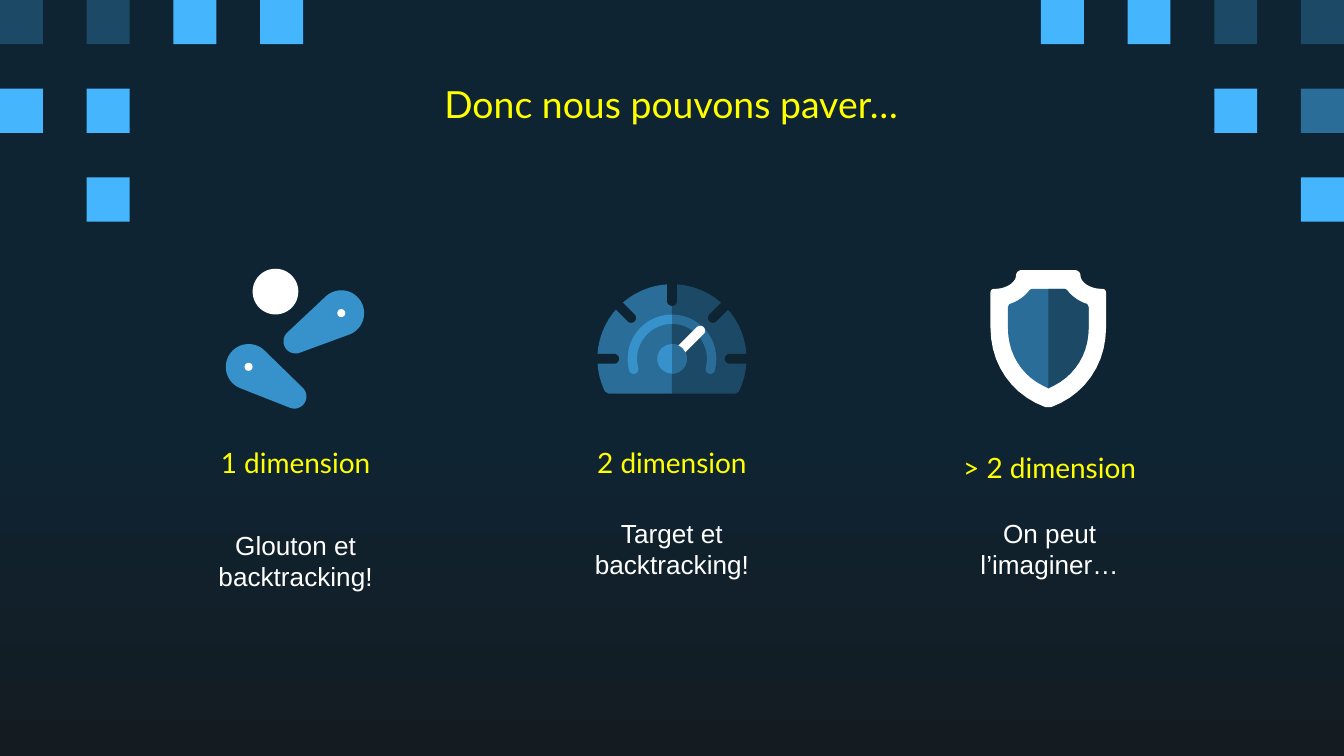
import math

from pptx import Presentation
from pptx.dml.color import RGBColor
from pptx.enum.shapes import MSO_SHAPE
from pptx.enum.text import MSO_ANCHOR, MSO_AUTO_SIZE, PP_ALIGN
from pptx.util import Inches, Pt

RECTANGLE = MSO_SHAPE.RECTANGLE
OVAL = MSO_SHAPE.OVAL
MIDDLE = MSO_ANCHOR.MIDDLE
CENTER = PP_ALIGN.CENTER
NO_AUTOFIT = MSO_AUTO_SIZE.NONE

NIGHT, BLACK_BLUE = "0E2433", "141C21"
NAVY, STEEL, AZURE, SKY = "1C4966", "296D98", "3792CB", "45B6FE"
WHITE, YELLOW = "FFFFFF", "FFFF00"

SLIDE_WIDTH = 10
SLIDE_HEIGHT = SLIDE_WIDTH * 9 / 16
SQUARE_WIDTH, SQUARE_HEIGHT = 0.32, 0.33
COLUMN_PITCH = (SLIDE_WIDTH - SQUARE_WIDTH) / 15
ROW_PITCH = 2 * SQUARE_HEIGHT
SQUARES = [
    (0, 0, NAVY), (1, 0, NAVY), (2, 0, SKY), (3, 0, SKY),
    (12, 0, SKY), (13, 0, SKY), (14, 0, NAVY), (15, 0, NAVY),
    (0, 1, SKY), (1, 1, SKY), (14, 1, SKY), (15, 1, STEEL),
    (1, 2, SKY), (15, 2, SKY),
]
SHIELD_RIM = [
    (0, 0), (0.2, 0), (0.22, 0, 0.24, 0.02, 0.24, 0.04),
    (0.24, 0.09, 0.31, 0.14, 0.4, 0.14), (0.42, 0.14, 0.43, 0.15, 0.43, 0.17),
    (0.43, 0.43), (0.43, 0.7, 0.27, 0.93, 0.02, 1.02), (0, 1.02),
]
SHIELD_CORE = [
    (0, 0.14), (0.11, 0.14), (0.12, 0.14, 0.13, 0.14, 0.14, 0.15),
    (0.17, 0.19, 0.22, 0.23, 0.28, 0.25), (0.29, 0.25, 0.3, 0.27, 0.3, 0.28),
    (0.3, 0.43), (0.3, 0.62, 0.2, 0.78, 0.04, 0.86), (0, 0.88),
]


def color(hex_string):
    return RGBColor.from_string(hex_string)


def paint(shape, fill):
    shape.shadow.inherit = False
    shape.fill.solid()
    shape.fill.fore_color.rgb = color(fill)
    shape.line.fill.background()


def add_polygon(slide, left, top, points, fill):
    corners = [(Inches(left + x), Inches(top + y)) for x, y in points]
    builder = slide.shapes.build_freeform(*corners[0])
    builder.add_line_segments(corners[1:], close=True)
    paint(builder.convert_to_shape(), fill)


def add_preset(slide, preset, left, top, width, height, fill):
    box = [Inches(length) for length in (left, top, width, height)]
    paint(slide.shapes.add_shape(preset, *box), fill)


def add_disc(slide, x, y, radius, fill):
    add_preset(slide, OVAL, x - radius, y - radius, 2 * radius, 2 * radius, fill)


def arc(x, y, radius, start, end):
    steps = max(2, math.ceil(abs(end - start) / 6))
    angles = [math.radians(start + (end - start) * i / steps) for i in range(steps + 1)]
    return [(x + radius * math.cos(a), y + radius * math.sin(a)) for a in angles]


def tapered_bar(x1, y1, radius1, x2, y2, radius2):
    heading = math.degrees(math.atan2(y2 - y1, x2 - x1))
    distance = math.hypot(x2 - x1, y2 - y1)
    spread = math.degrees(math.acos((radius1 - radius2) / distance))
    return (arc(x1, y1, radius1, heading + spread, heading + 360 - spread)
            + arc(x2, y2, radius2, heading - spread, heading + spread))


def mirror(points):
    return [(-x, y) for x, y in points]


def trace(outline):
    points = [outline[0]]
    for x1, y1, *rest in outline[1:]:
        if not rest:
            points.append((x1, y1))
            continue
        x0, y0 = points[-1]
        x2, y2, x3, y3 = rest
        for t in (i / 10 for i in range(1, 11)):
            weights = ((1 - t) ** 3, 3 * t * (1 - t) ** 2, 3 * t * t * (1 - t), t ** 3)
            points.append((sum(w * x for w, x in zip(weights, (x0, x1, x2, x3))),
                           sum(w * y for w, y in zip(weights, (y0, y1, y2, y3)))))
    return points


def add_flippers(slide, left, top):
    for pivot, tip in (((0.86, 0.33), (0.52, 0.54)), ((0.17, 0.73), (0.51, 0.95))):
        add_polygon(slide, left, top, tapered_bar(*pivot, 0.17, *tip, 0.09), AZURE)
        add_disc(slide, left + pivot[0], top + pivot[1], 0.03, WHITE)
    add_disc(slide, left + 0.37, top + 0.17, 0.17, WHITE)


def add_gauge(slide, x, y):
    dial = arc(0, 0, 0.555, -90, 26) + [(0.47, 0.26), (0, 0.26)]
    add_polygon(slide, x, y, mirror(dial), STEEL)
    add_polygon(slide, x, y, dial, NAVY)

    for angle in range(180, 361, 45):
        a = math.radians(angle)
        tick = arc(0.43, 0, 0.036, 90, 270) + [(0.56, -0.036), (0.56, 0.036)]
        turned = [(u * math.cos(a) - v * math.sin(a), u * math.sin(a) + v * math.cos(a))
                  for u, v in tick]
        add_polygon(slide, x, y, turned, NIGHT)

    end_x, end_y = arc(0, 0, 0.295, 0, 15)[-1]
    band = (arc(0, 0, 0.33, -90, 15) + arc(end_x, end_y, 0.035, 15, 195)
            + arc(0, 0, 0.26, 15, -90))
    add_polygon(slide, x, y, mirror(band), AZURE)
    add_polygon(slide, x, y, band, STEEL)

    add_disc(slide, x, y, 0.11, AZURE)
    add_polygon(slide, x, y, tapered_bar(0.05, -0.05, 0.036, 0.21, -0.21, 0.036), WHITE)
    add_polygon(slide, x, y, arc(0, 0, 0.11, -90, 90), STEEL)


def add_shield(slide, x, top):
    rim, core = trace(SHIELD_RIM), trace(SHIELD_CORE)
    add_polygon(slide, x, top, rim + mirror(rim)[::-1], WHITE)
    add_polygon(slide, x, top, core + mirror(core)[::-1], STEEL)
    add_polygon(slide, x, top, core, NAVY)


def set_text(shape, box, text, font, size, fill, inset):
    shape.left, shape.top, shape.width, shape.height = [Inches(length) for length in box]
    frame = shape.text_frame
    frame.text = text
    frame.word_wrap = True
    frame.auto_size = NO_AUTOFIT
    frame.vertical_anchor = MIDDLE
    frame.margin_left = frame.margin_right = Inches(inset)
    frame.margin_top = frame.margin_bottom = Inches(inset)
    paragraph = frame.paragraphs[0]
    paragraph.alignment = CENTER
    run = paragraph.runs[0]
    run.font.name = font
    run.font.size = Pt(size)
    run.font.color.rgb = color(fill)


def add_column(slide, left, heading, heading_height, body, body_top):
    parts = [
        (body, body_top, 0.88, "Arial", 14, WHITE, 0.2),
        (heading, 3.23, heading_height, "Lato", 15, YELLOW, 0.1),
    ]
    for text, top, height, *style in parts:
        textbox = slide.shapes.add_textbox(0, 0, 0, 0)
        set_text(textbox, (left, top, 2.08, height), text, *style)


def add_background(slide):
    fill = slide.background.fill
    fill.gradient()
    fill.gradient_angle = 270
    for stop, position, shade in zip(fill.gradient_stops, (0.56, 1), (NIGHT, BLACK_BLUE)):
        stop.position = position
        stop.color.rgb = color(shade)
    for column, row, shade in SQUARES:
        add_preset(slide, RECTANGLE, column * COLUMN_PITCH, row * ROW_PITCH,
                   SQUARE_WIDTH, SQUARE_HEIGHT, shade)


def main():
    presentation = Presentation()
    presentation.slide_width = Inches(SLIDE_WIDTH)
    presentation.slide_height = Inches(SLIDE_HEIGHT)
    slide = presentation.slides.add_slide(presentation.slide_layouts[5])
    add_background(slide)
    set_text(slide.shapes.title, (0.78, 0.59, 8.43, 0.36), "Donc nous pouvons paver…",
             "Lato", 20, YELLOW, 0.1)
    add_column(slide, 1.16, "1 dimension", 0.42, "Glouton et backtracking!", 3.73)
    add_column(slide, 3.96, "2 dimension", 0.42, "Target et backtracking!", 3.64)
    add_column(slide, 6.77, "> 2 dimension", 0.5, "On peut l’imaginer…", 3.64)
    add_flippers(slide, 1.68, 2)
    add_gauge(slide, 5, 2.67)
    add_shield(slide, 7.8, 2.01)
    presentation.save("out.pptx")


if __name__ == "__main__":
    main()
